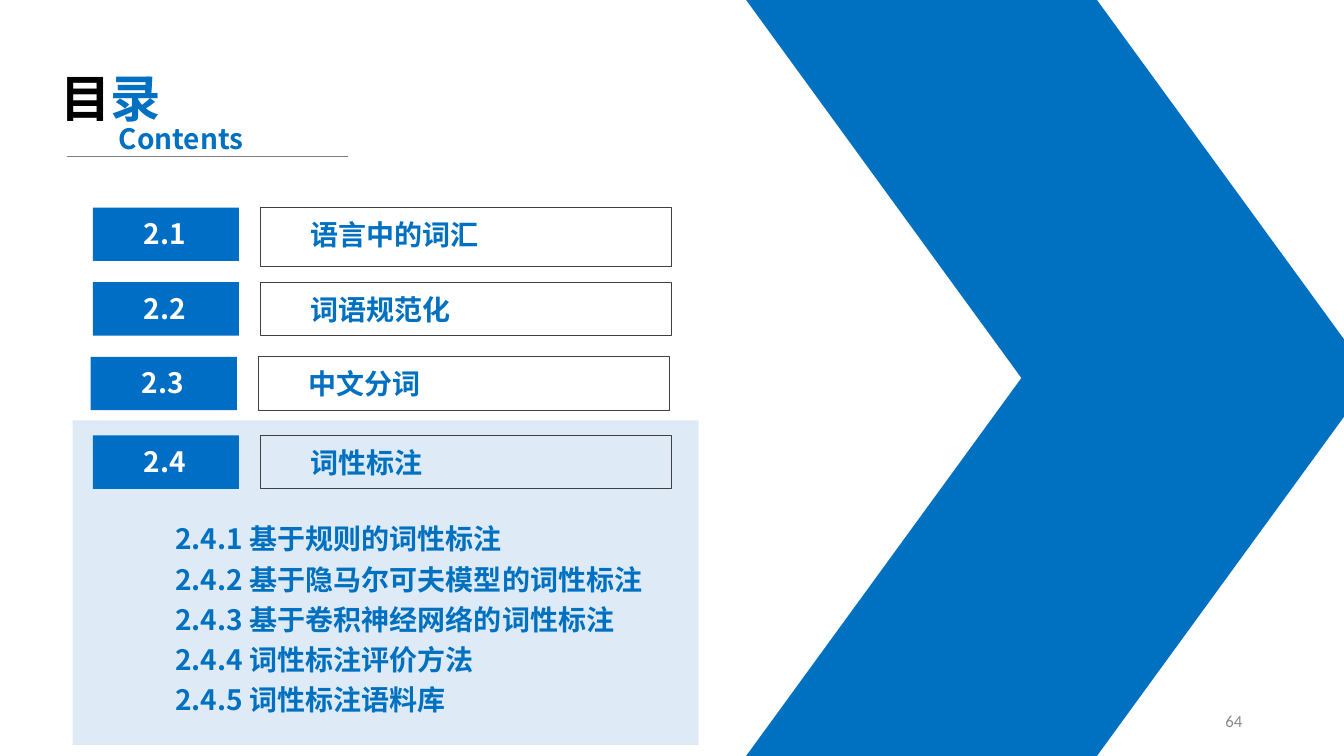
import pptx
import pptx.util
from pptx.dml.color import RGBColor
from pptx.enum.shapes import MSO_CONNECTOR, MSO_SHAPE
from pptx.enum.text import MSO_ANCHOR, MSO_AUTO_SIZE, PP_ALIGN
from pptx.oxml.ns import qn
from pptx.util import Inches
from lxml import etree

COLORS = {
    "blue": "0070C0", "badge": "006EC5", "panel": "DEEBF7", "white": "FFFFFF",
    "black": "000000", "frame": "404040", "rule": "7F7F7F", "page": "898989",
}
RGB = {name: RGBColor.from_string(code) for name, code in COLORS.items()}


def add_block(s, kind, box, fill=None):
    """Add a filled shape without outline, or a thin frame when no fill is given."""
    sp = s.shapes.add_shape(kind, *map(Inches, box))
    sp.shadow.inherit = False
    if fill:
        sp.fill.solid()
        sp.fill.fore_color.rgb = RGB[fill]
        sp.line.fill.background()
    else:
        sp.fill.background()
        sp.line.color.rgb = RGB["frame"]
        sp.line.width = pptx.util.Pt(0.75)
    return sp


def add_text(s, box, lines, color="blue", size=20, font="Noto Sans CJK SC",
             bold=True, align=PP_ALIGN.LEFT, spacing=None):
    """Add a text box; each line is a list of (text, color or None) runs or a string."""
    tf = s.shapes.add_textbox(*map(Inches, box)).text_frame
    tf.word_wrap = True
    tf.auto_size = MSO_AUTO_SIZE.SHAPE_TO_FIT_TEXT
    for i, line in enumerate(lines):
        p = tf.add_paragraph() if i else tf.paragraphs[0]
        p.alignment = align
        p.line_spacing = spacing
        p.font.size = pptx.util.Pt(size)
        p.font.bold = bold
        p.font.name = font
        p.font.color.rgb = RGB[color]
        east_asian = etree.SubElement(p._p.pPr.find(qn("a:defRPr")), qn("a:ea"))
        east_asian.set("typeface", font)
        for text, run_color in [(line, None)] if isinstance(line, str) else line:
            r = p.add_run()
            r.text = text
            if run_color:
                r.font.color.rgb = RGB[run_color]
    return tf


prs = pptx.Presentation()
prs.slide_width, prs.slide_height = Inches(13.33), Inches(7.5)
s = prs.slides.add_slide(prs.slide_layouts[6])

# Highlight behind the current section
add_block(s, MSO_SHAPE.RECTANGLE, (0.72, 4.17, 6.21, 3.22), "panel")

# Large chevron from two mirrored halves
for top in (3.75, 0):
    half = add_block(s, MSO_SHAPE.PARALLELOGRAM, (7.4, top, 6.21, 3.75), "blue")
    half.adjustments[0] = 0.728
    if top == 0:
        half._element.spPr.xfrm.set("flipV", "1")

# Heading
add_text(s, (0.5, 0.62, 1.57, 0.71), [[("目", "black"), ("录", "blue")]], size=36)
rule = s.shapes.add_connector(MSO_CONNECTOR.STRAIGHT, Inches(0.66), Inches(1.55),
                              Inches(3.45), Inches(1.55))
rule.line.color.rgb = RGB["rule"]
rule.line.width = pptx.util.Pt(0.5)
etree.SubElement(rule._element.spPr, qn("a:effectLst"))
add_text(s, (1.08, 1.16, 1.57, 0.44), ["Contents"])

# Sections: number, title, badge left, top, frame height
sections = [
    ("2.1", "语言中的词汇", 0.92, 2.06, 0.58),
    ("2.2", "词语规范化", 0.92, 2.8, 0.53),
    ("2.3", "中文分词", 0.9, 3.54, 0.53),
    ("2.4", "词性标注", 0.92, 4.32, 0.53),
]
for number, title, left, top, height in sections:
    add_block(s, MSO_SHAPE.RECTANGLE, (left + 1.66, top, 4.08, height))
    add_text(s, (left + 2.06, top + 0.05, 3.68, 0.44), [title])
    add_block(s, MSO_SHAPE.RECTANGLE, (left, top, 1.45, 0.53), "badge")
    add_text(s, (left + 0.19, top + 0.04, 1.05, 0.44), [number], "white",
             align=PP_ALIGN.CENTER)

# Topics of the current section
topics = ["基于规则的词性标注", "基于隐马尔可夫模型的词性标注",
          "基于卷积神经网络的词性标注", "词性标注评价方法", "词性标注语料库"]
add_text(s, (1.64, 5.06, 6.81, 2.09),
         [f"2.4.{n} {topic}" for n, topic in enumerate(topics, 1)], spacing=1.2)

# Page number
tf = add_text(s, (9.42, 6.95, 3, 0.4), ["64"], "page", 12, "Calibri", False,
              PP_ALIGN.RIGHT)
tf.auto_size = MSO_AUTO_SIZE.NONE
tf.vertical_anchor = MSO_ANCHOR.MIDDLE

prs.save("out.pptx")
